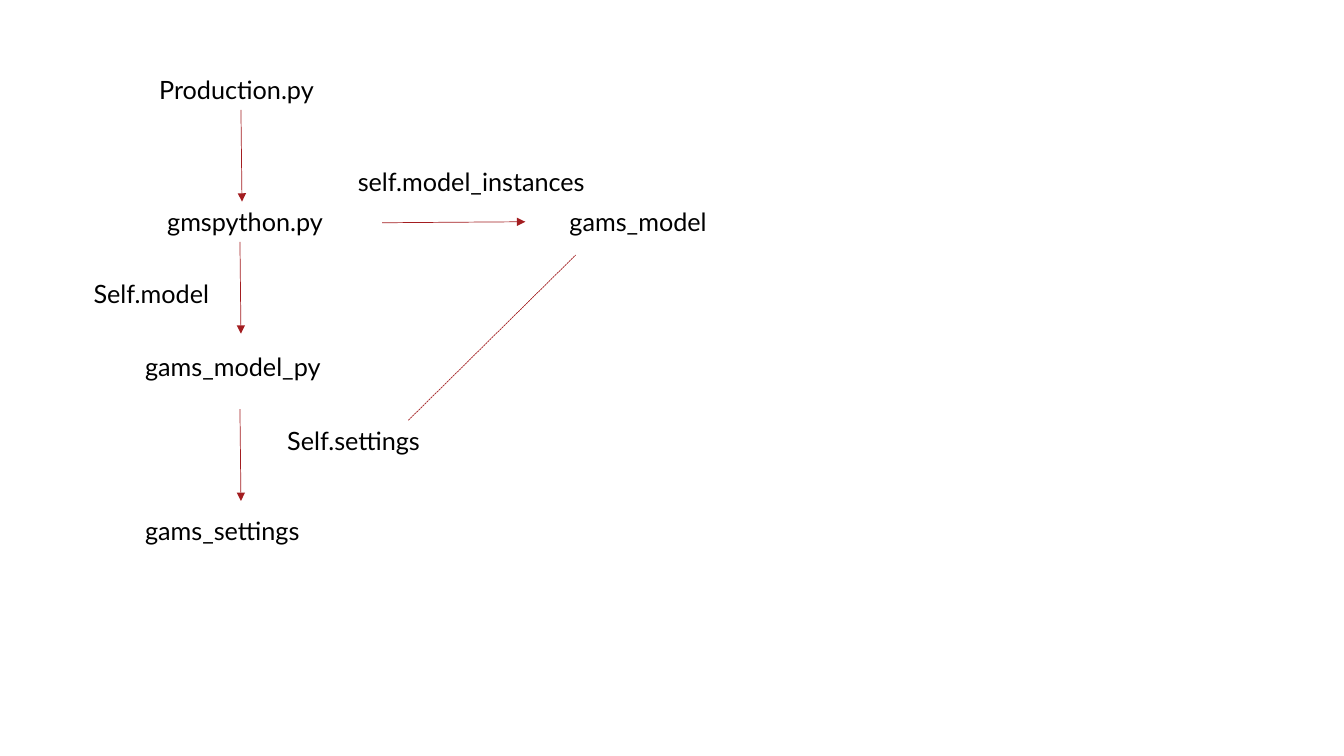
from lxml.etree import SubElement
from pptx import Presentation
from pptx.dml.color import RGBColor
from pptx.enum.dml import MSO_LINE
from pptx.enum.shapes import MSO_CONNECTOR
from pptx.enum.text import MSO_AUTO_SIZE
from pptx.oxml.ns import qn
from pptx.util import Inches, Pt

RED = "A31D20"
BLACK = "000000"
LABELS = [
    ("Production.py", 1.48, 0.69, 1.82),
    ("gmspython.py", 1.56, 2, 1.9),
    ("self.model_instances", 3.45, 1.6, 2.58),
    ("gams_model_py", 1.34, 3.44, 2.1),
    ("Self.model", 0.83, 2.71, 1.45),
    ("gams_model", 5.55, 2, 1.67),
    ("Self.settings", 2.75, 4.17, 1.55),
    ("gams_settings", 1.34, 5.06, 1.96),
]
DROPS = [(2.39, 1.09), (2.38, 2.4), (2.38, 4.06)]


def paint(color, code):
    """Set a colour from a hex string."""
    color.rgb = RGBColor.from_string(code)


def add_label(slide, text, left, top, width):
    """Add one line of text."""
    box = slide.shapes.add_textbox(
        Inches(left), Inches(top), Inches(width), Inches(0.4))
    frame = box.text_frame
    frame.text = text
    frame.word_wrap = True
    frame.auto_size = MSO_AUTO_SIZE.SHAPE_TO_FIT_TEXT
    font = frame.paragraphs[0].runs[0].font
    font.name = "Lato"
    font.size = Pt(18)
    paint(font.color, BLACK)


def add_line(slide, start, end):
    """Add a thin red line without a shadow."""
    link = slide.shapes.add_connector(
        MSO_CONNECTOR.STRAIGHT, *map(Inches, start + end))
    paint(link.line.color, RED)
    link.line.width = Pt(0.5)
    SubElement(link.element.spPr, qn("a:effectLst"))
    return link


def add_arrow(slide, start, end):
    """Add a line that ends in a triangle."""
    link = add_line(slide, start, end)
    stroke = link.element.spPr.find(qn("a:ln"))
    SubElement(stroke, qn("a:tailEnd"), type="triangle")


def main():
    """Build the slide of modules and the links between them."""
    deck = Presentation()
    deck.slide_width = Inches(13.33)
    deck.slide_height = Inches(7.5)
    slide = deck.slides.add_slide(deck.slide_layouts[6])
    for label in LABELS:
        add_label(slide, *label)
    for left, top in DROPS:
        add_arrow(slide, (left, top), (left + 0.01, top + 0.91))
    add_arrow(slide, (3.79, 2.21), (5.21, 2.2))
    link = add_line(slide, (4.05, 4.17), (5.71, 2.53))
    link.line.dash_style = MSO_LINE.SQUARE_DOT
    deck.save("out.pptx")


if __name__ == "__main__":
    main()
